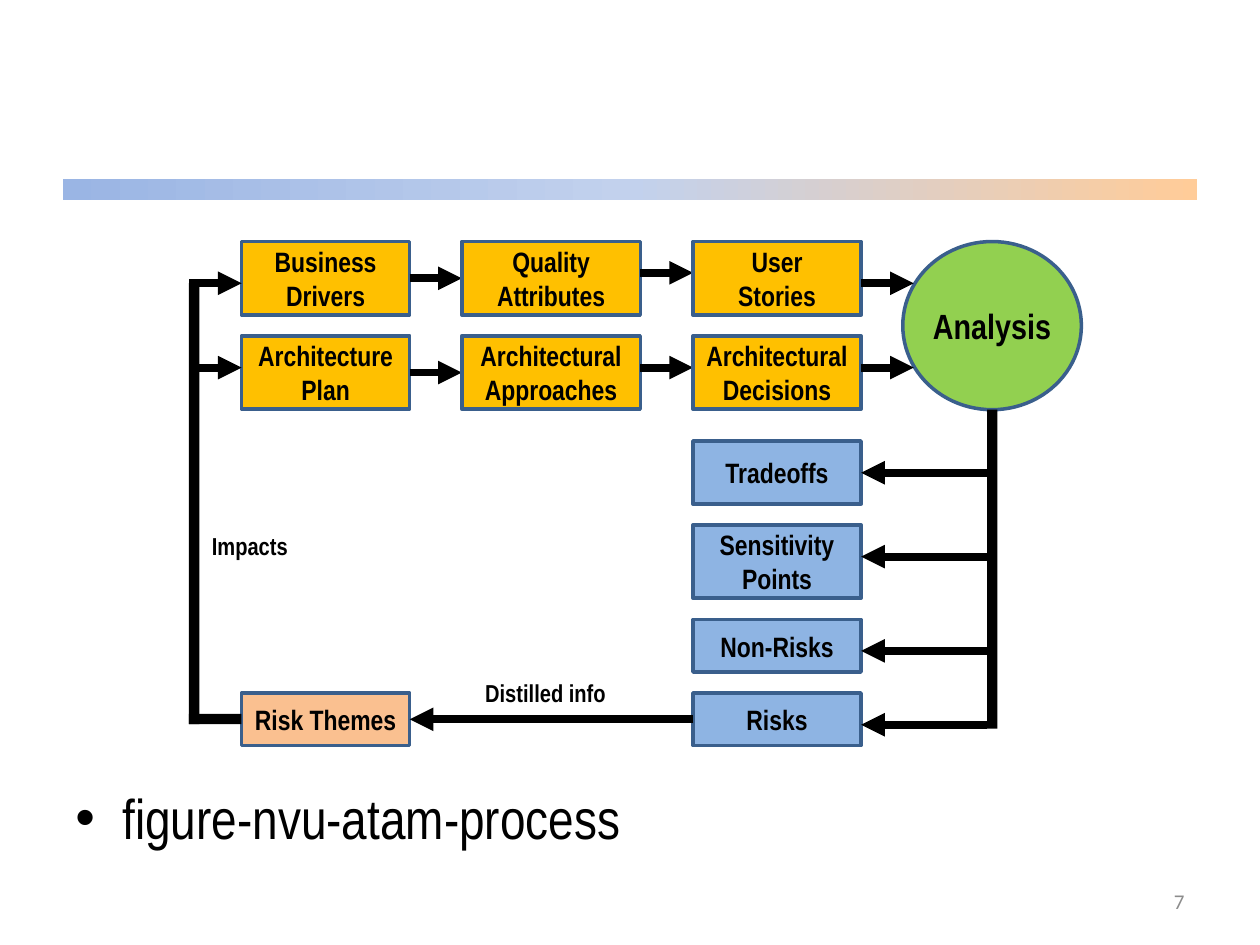
from copy import deepcopy

from lxml import etree
from pptx import Presentation
from pptx.dml.color import RGBColor
from pptx.enum.shapes import MSO_CONNECTOR, MSO_SHAPE
from pptx.enum.text import MSO_ANCHOR, PP_ALIGN
from pptx.oxml.ns import qn
from pptx.util import Cm, Pt

RECT, OVAL = MSO_SHAPE.RECTANGLE, MSO_SHAPE.OVAL
STRAIGHT = MSO_CONNECTOR.STRAIGHT
LEFT, CENTER, RIGHT = PP_ALIGN.LEFT, PP_ALIGN.CENTER, PP_ALIGN.RIGHT
TOP, MIDDLE = MSO_ANCHOR.TOP, MSO_ANCHOR.MIDDLE

BLACK = RGBColor(0x00, 0x00, 0x00)
WHITE = RGBColor(0xFF, 0xFF, 0xFF)
GREY = RGBColor(0x8C, 0x8C, 0x8C)
AMBER = RGBColor(0xFF, 0xC0, 0x00)
GREEN = RGBColor(0x92, 0xD0, 0x50)
BLUE = RGBColor(0x8E, 0xB4, 0xE3)
PEACH = RGBColor(0xFA, 0xC0, 0x90)
OUTLINE = RGBColor(0x3A, 0x5F, 0x8C)
BAND = [RGBColor(0x9A, 0xB5, 0xE4), RGBColor(0xC2, 0xD1, 0xED),
        RGBColor(0xFF, 0xCC, 0x99)]

# Content; all lengths in cm
CAPTION = "figure-nvu-atam-process"
COLUMNS = [(4.87, 3.39), (9.31, 3.6), (13.97, 3.39)]  # left, width
INPUT_H = 1.48
INPUT_ROWS = [  # top, box texts, y of the arrow after each box
    (4.87, ["Business\nDrivers", "Quality\nAttributes", "User\nStories"],
     [5.61, 5.5, 5.71]),
    (6.77, ["Architecture\nPlan", "Architectural\nApproaches",
            "Architectural\nDecisions"], [7.51, 7.41, 7.41]),
]
OUTPUTS = [  # text, top, height, y of the arrow from the analysis
    ("Tradeoffs", 8.89, 1.27, 9.53),
    ("Sensitivity\nPoints", 10.58, 1.48, 11.22),
    ("Non-Risks", 12.49, 1.06, 13.12),
    ("Risks", 13.97, 1.06, 14.61),
]
FEEDBACK_Y = [7.41, 5.71]
LABELS = [("Distilled info", 9.53, 13.55, 2.97), ("Impacts", 4.02, 10.58, 2.06)]
ANALYSIS_LEFT, ANALYSIS_EDGE = 18.2, 18.42
TRUNK_X, RETURN_X, BAR = 19.9, 3.81, 0.21
RETURN_Y, RISK_ARROW_Y = 14.39, 14.5

prs = Presentation()
prs.slide_width, prs.slide_height = Cm(25.4), Cm(19.05)
slide = prs.slides.add_slide(prs.slide_layouts[6])


def write(shape, text, size=16, font="Arial Narrow", color=BLACK, bold=True,
          align=CENTER, anchor=MIDDLE, wrap=True, side=0.25):
    frame = shape.text_frame
    frame.text = text
    frame.word_wrap = wrap
    frame.vertical_anchor = anchor
    frame.margin_left = frame.margin_right = Cm(side)
    for paragraph in frame.paragraphs:
        paragraph.alignment = align
        for run in paragraph.runs:
            run.font.name, run.font.size = font, Pt(size)
            run.font.bold, run.font.color.rgb = bold, color
    return frame


def block(left, top, width, height, fill, kind=RECT):
    shape = slide.shapes.add_shape(kind, Cm(left), Cm(top), Cm(width), Cm(height))
    shape.shadow.inherit = False
    shape.fill.solid()
    shape.fill.fore_color.rgb = fill
    shape.line.fill.background()
    return shape


def node(text, left, top, width, height, fill, kind=RECT, size=16):
    shape = block(left, top, width, height, fill, kind)
    shape.line.color.rgb, shape.line.width = OUTLINE, Pt(2)
    write(shape, text, size=size, side=0)


def text_box(text, left, top, width, height, **style):
    box = slide.shapes.add_textbox(Cm(left), Cm(top), Cm(width), Cm(height))
    return write(box, text, **style)


def arrow(start, end, y):
    line = slide.shapes.add_connector(STRAIGHT, Cm(start), Cm(y), Cm(end), Cm(y))
    line.line.color.rgb, line.line.width = BLACK, Pt(4.5)
    properties = line._element.spPr
    etree.SubElement(properties.find(qn("a:ln")), qn("a:tailEnd"), type="triangle")
    etree.SubElement(properties, qn("a:effectLst"))


# Gradient band under the title area
band = block(1.27, 3.6, 22.86, 0.43, WHITE)
band.fill.gradient()
band.fill.gradient_angle = 0
stop_list = band._element.spPr.find(".//" + qn("a:gsLst"))
stop_list.insert(1, deepcopy(stop_list[0]))
for stop, color, position in zip(band.fill.gradient_stops, BAND, (0, 0.5, 1)):
    stop.color.rgb, stop.position = color, position

# Caption and slide number
caption = text_box(CAPTION, 1.27, 15.67, 22.86, 1.35, size=32,
                   bold=False, align=LEFT, anchor=TOP).paragraphs[0]
caption.space_before = Pt(6.4)
caption_format = caption._p.get_or_add_pPr()
caption_format.set("marL", str(Cm(0.95)))
caption_format.set("indent", str(Cm(-0.95)))
etree.SubElement(caption_format, qn("a:buFont"), typeface="Arial")
etree.SubElement(caption_format, qn("a:buChar"), char="•")
text_box("7", 18.2, 17.66, 5.93, 1.01, size=12, font="Calibri", color=GREY,
         bold=False, align=RIGHT)

# Diagram panel and analysis
block(3.39, 4.23, 18.63, 11.22, WHITE)
node("Analysis", ANALYSIS_LEFT, 4.87, 3.6, 3.39, GREEN, OVAL, 20)

# Input rows leading to the analysis
arrow_ends = [left for left, _ in COLUMNS[1:]] + [ANALYSIS_EDGE]
for top, texts, arrow_ys in INPUT_ROWS:
    for text, (left, width), end, y in zip(texts, COLUMNS, arrow_ends, arrow_ys):
        node(text, left, top, width, INPUT_H, AMBER)
        arrow(left + width, end, y)

# Outputs hanging off the trunk below the analysis
output_left, output_width = COLUMNS[2]
block(TRUNK_X, 8.26, BAR, 6.43, BLACK)
for text, top, height, y in OUTPUTS:
    node(text, output_left, top, output_width, height, BLUE)
    arrow(TRUNK_X, output_left + output_width, y)

# Risk themes and the way back to the inputs
theme_left, theme_width = COLUMNS[0]
node("Risk Themes", theme_left, 13.97, theme_width, 1.06, PEACH)
arrow(output_left, theme_left + theme_width, RISK_ARROW_Y)
for y in FEEDBACK_Y:
    arrow(RETURN_X, theme_left, y)
block(RETURN_X, FEEDBACK_Y[-1], BAR, RETURN_Y + BAR - FEEDBACK_Y[-1], BLACK)
block(RETURN_X, RETURN_Y, theme_left - RETURN_X, BAR, BLACK)

# Flow labels
for text, left, top, width in LABELS:
    text_box(text, left, top, width, 0.86, size=14, align=LEFT, anchor=TOP,
             wrap=False)

prs.save("out.pptx")
